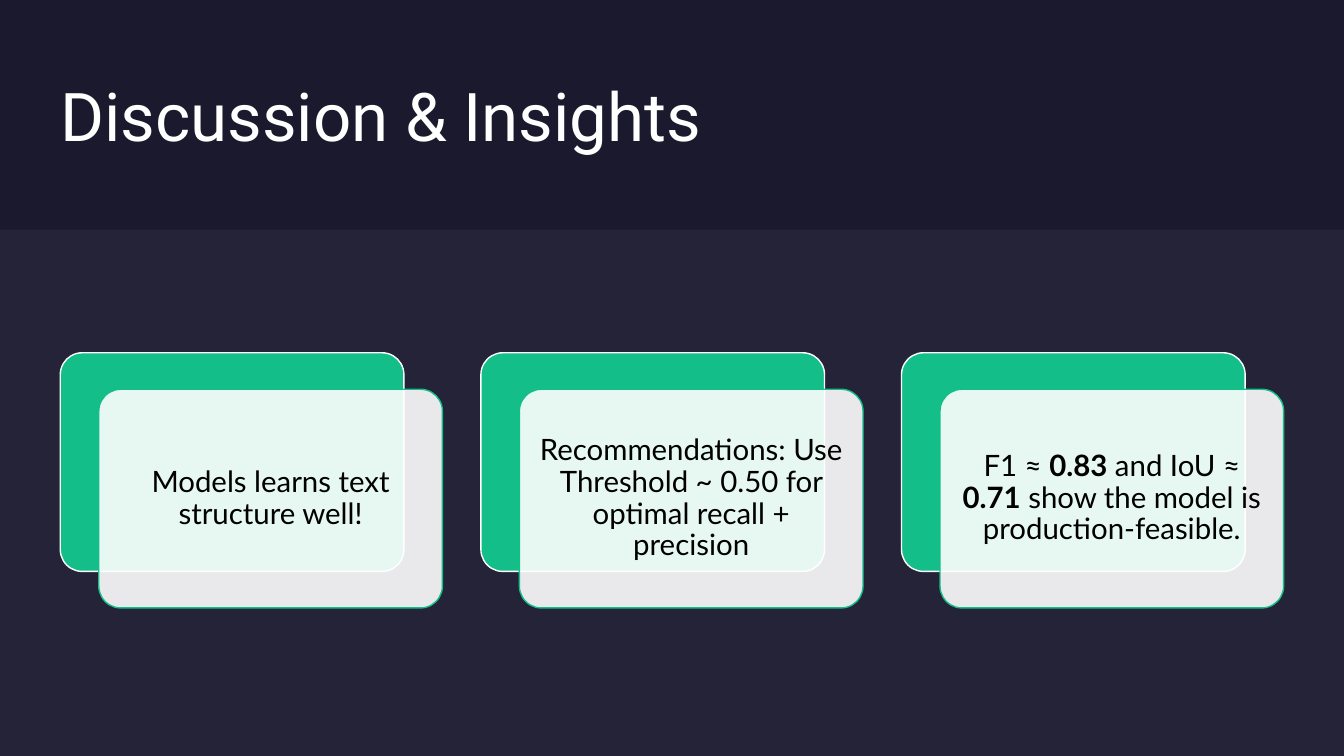
from lxml import etree
from pptx import Presentation
from pptx.dml.color import RGBColor
from pptx.enum.shapes import MSO_SHAPE
from pptx.enum.text import MSO_ANCHOR, PP_ALIGN
from pptx.oxml.ns import qn
from pptx.util import Cm, Pt

RECTANGLE = MSO_SHAPE.RECTANGLE
ROUNDED = MSO_SHAPE.ROUNDED_RECTANGLE
MIDDLE = MSO_ANCHOR.MIDDLE
CENTER = PP_ALIGN.CENTER
LEFT = PP_ALIGN.LEFT

NAVY = RGBColor(0x1B, 0x19, 0x2E)
LAVENDER = RGBColor(0xE4, 0xE3, 0xF0)
GREEN = RGBColor(0x13, 0xBE, 0x89)
WHITE = RGBColor(0xFF, 0xFF, 0xFF)
BLACK = RGBColor(0x00, 0x00, 0x00)

TITLE_FONT = {"name": "Roboto", "size": Pt(48), "bold": False}
CARD_FONT = {"name": "Lato", "size": Pt(21)}
CARD_PARAGRAPH = {"alignment": CENTER, "line_spacing": 0.9,
                  "space_before": Pt(8)}

# Each card is a list of (text, bold) runs.
CARDS = [
    [("Models learns text structure well!", False)],
    [("Recommendations: Use Threshold ~ 0.50 for optimal recall + precision",
      False)],
    [("F1 ≈ ", False), ("0.83", True), (" and IoU ≈ ", False), ("0.71", True),
     (" show the model is production-feasible.", False)],
]


def apply_format(target, values):
    for name, value in values.items():
        setattr(target, name, value)


def set_margins(frame, margin):
    for side in ("left", "top", "right", "bottom"):
        setattr(frame, f"margin_{side}", margin)


def add_panel(slide, kind, box, fill, opacity=100, line=None):
    """Add a filled shape; opacity is in percent, no line means no outline."""
    shape = slide.shapes.add_shape(kind, *box)
    shape.shadow.inherit = False
    shape.fill.solid()
    shape.fill.fore_color.rgb = fill
    if opacity < 100:
        color = shape.fill._xPr.find(qn("a:solidFill"))[0]
        etree.SubElement(color, qn("a:alpha"), val=str(opacity * 1000))
    if line is None:
        shape.line.fill.background()
    else:
        shape.line.color.rgb = line
        shape.line.width = Pt(1)
    return shape


def add_title(slide, text, box):
    title = slide.shapes.title
    apply_format(title, dict(zip(("left", "top", "width", "height"), box)))
    frame = title.text_frame
    frame.text = text
    frame.vertical_anchor = MIDDLE
    set_margins(frame, 0)
    paragraph = frame.paragraphs[0]
    paragraph.alignment = LEFT
    font = paragraph.runs[0].font
    apply_format(font, TITLE_FONT)
    font.color.rgb = WHITE


def add_card(slide, runs, box):
    """Add a green card with a translucent text card shifted over it."""
    left, top, width, height = box
    shift_x, shift_y = Cm(0.97), Cm(0.92)
    size = (width - shift_x, height - shift_y)
    back = add_panel(slide, ROUNDED, (left, top, *size), GREEN, line=WHITE)
    front = add_panel(slide, ROUNDED, (left + shift_x, top + shift_y, *size),
                      WHITE, opacity=90, line=GREEN)
    for card in (back, front):
        card.adjustments[0] = 0.1

    frame = front.text_frame
    frame.word_wrap = True
    frame.vertical_anchor = MIDDLE
    set_margins(frame, Cm(0.23))
    paragraph = frame.paragraphs[0]
    apply_format(paragraph, CARD_PARAGRAPH)
    for text, bold in runs:
        run = paragraph.add_run()
        run.text = text
        apply_format(run.font, CARD_FONT)
        run.font.bold = bold
        run.font.color.rgb = BLACK


def add_card_row(slide, cards, box):
    left, top, width, height = box
    gap = Cm(0.97)
    card_width = (width - gap * (len(cards) - 1)) // len(cards)
    for index, runs in enumerate(cards):
        card_left = left + index * (card_width + gap)
        add_card(slide, runs, (card_left, top, card_width, height))


def main():
    presentation = Presentation()
    presentation.slide_width = Cm(33.87)
    presentation.slide_height = Cm(19.05)
    slide = presentation.slides.add_slide(presentation.slide_layouts[5])
    background = slide.background.fill
    background.solid()
    background.fore_color.rgb = NAVY

    margin = Cm(1.52)
    band_top = Cm(5.79)
    page_width = presentation.slide_width
    add_title(slide, "Discussion & Insights",
              (margin, margin, Cm(20.3), Cm(2.74)))
    add_panel(slide, RECTANGLE,
              (0, band_top, page_width, presentation.slide_height - band_top),
              LAVENDER, opacity=5)
    add_card_row(slide, CARDS,
                 (margin, Cm(8.89), page_width - 2 * margin, Cm(6.43)))
    presentation.save("out.pptx")


if __name__ == "__main__":
    main()
